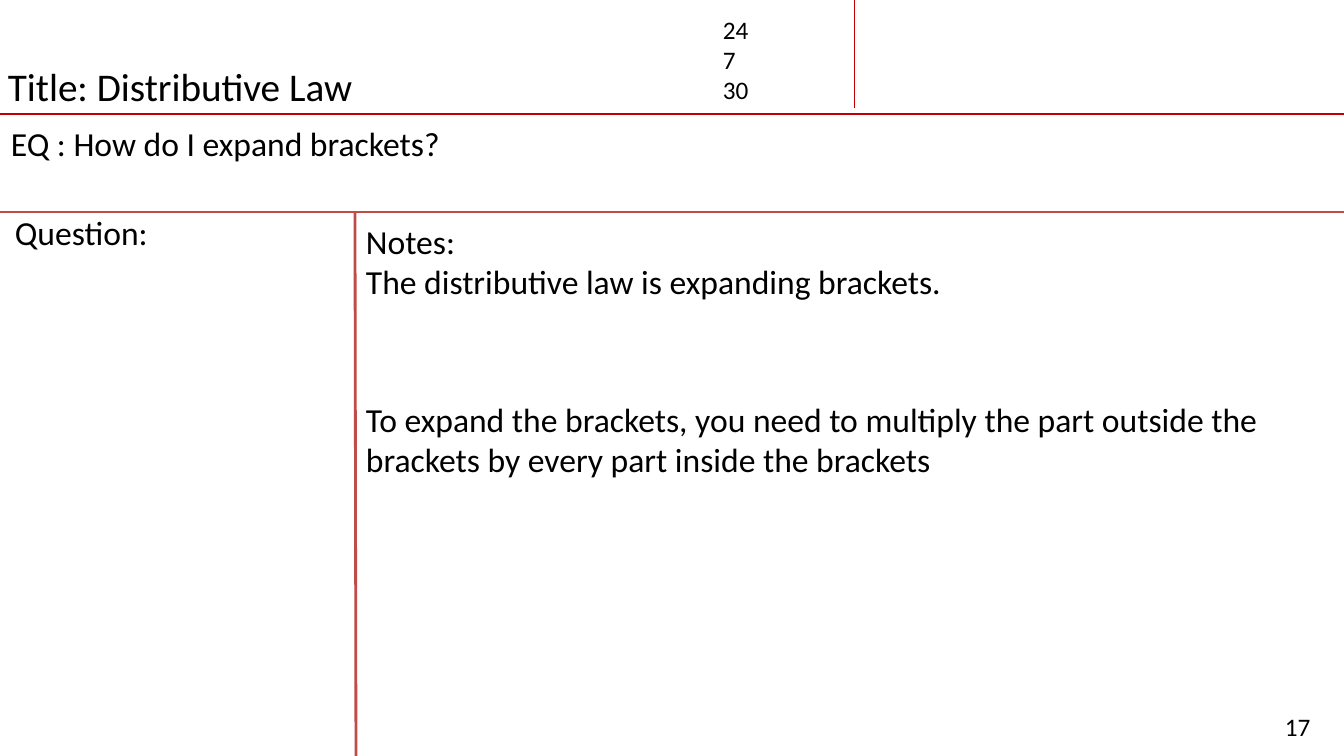
import pptx
import pptx.dml.color
import pptx.enum.shapes
import pptx.enum.text
import pptx.util
from lxml import etree

SLIDE_WIDTH, SLIDE_HEIGHT = 1344, 756
HEADER_BOTTOM, QUESTION_TOP, NOTES_LEFT = 114, 212, 356
DATE_RULE_LEFT = 855

THEME = {
    "font": "Calibri",
    "text": "000000",
    "header_rule": "C00000",
    "body_rule": "BF4C48",
    "title_size": 28,
    "body_size": 24,
    "small_size": 18,
    "thick": 2,
    "thin": 0.75,
}

TEXTS = [
    (["Title: Distributive Law"], (-2, 57, 821, 57), "title_size"),
    (["EQ : How do I expand brackets?"], (1, 118, 1331, 50), "body_size"),
    (["Question:"], (5, 207, 322, 50), "body_size"),
    (["Notes:", "The distributive law is expanding brackets."],
     (NOTES_LEFT, 216, 961, 132), "body_size"),
    (["24", "7", "30"], (713, 9, 95, 102), "small_size"),
    (["17"], (1275, 706, 57, 40), "small_size"),
    (["To expand the brackets, you need to multiply the part outside the "
      "brackets by every part inside the brackets"],
     (NOTES_LEFT, 394, 929, 152), "body_size"),
]

RULES = [
    ((0, HEADER_BOTTOM), (SLIDE_WIDTH, HEADER_BOTTOM), "header_rule", "thick"),
    ((0, QUESTION_TOP), (SLIDE_WIDTH, QUESTION_TOP), "body_rule", "thick"),
    ((NOTES_LEFT - 1, QUESTION_TOP), (NOTES_LEFT, SLIDE_HEIGHT), "body_rule", "thick"),
    ((DATE_RULE_LEFT, 0), (DATE_RULE_LEFT, 108), "header_rule", "thin"),
]


def px(length):
    return pptx.util.Emu(round(length * 914400 / 100.8))


def color(name):
    return pptx.dml.color.RGBColor.from_string(THEME[name])


def add_text(slide, lines, *, box, size):
    shape = slide.shapes.add_textbox(*map(px, box))
    frame = shape.text_frame
    frame.word_wrap = True
    frame.auto_size = pptx.enum.text.MSO_AUTO_SIZE.SHAPE_TO_FIT_TEXT
    frame.text = "\n".join(lines)
    for paragraph in frame.paragraphs:
        paragraph.font.name = THEME["font"]
        paragraph.font.size = pptx.util.Pt(THEME[size])
        paragraph.font.color.rgb = color("text")


def add_rule(slide, start, end, *, stroke, weight):
    connector = slide.shapes.add_connector(
        pptx.enum.shapes.MSO_CONNECTOR.STRAIGHT, *map(px, start + end))
    connector.line.color.rgb = color(stroke)
    connector.line.width = pptx.util.Pt(THEME[weight])
    properties = connector._element.spPr
    etree.SubElement(properties, pptx.oxml.ns.qn("a:effectLst"))


def main():
    presentation = pptx.Presentation()
    presentation.slide_width = px(SLIDE_WIDTH)
    presentation.slide_height = px(SLIDE_HEIGHT)
    slide = presentation.slides.add_slide(presentation.slide_layouts[6])
    for start, end, stroke, weight in RULES:
        add_rule(slide, start, end, stroke=stroke, weight=weight)
    for lines, box, size in TEXTS:
        add_text(slide, lines, box=box, size=size)
    presentation.save("out.pptx")


if __name__ == "__main__":
    main()
